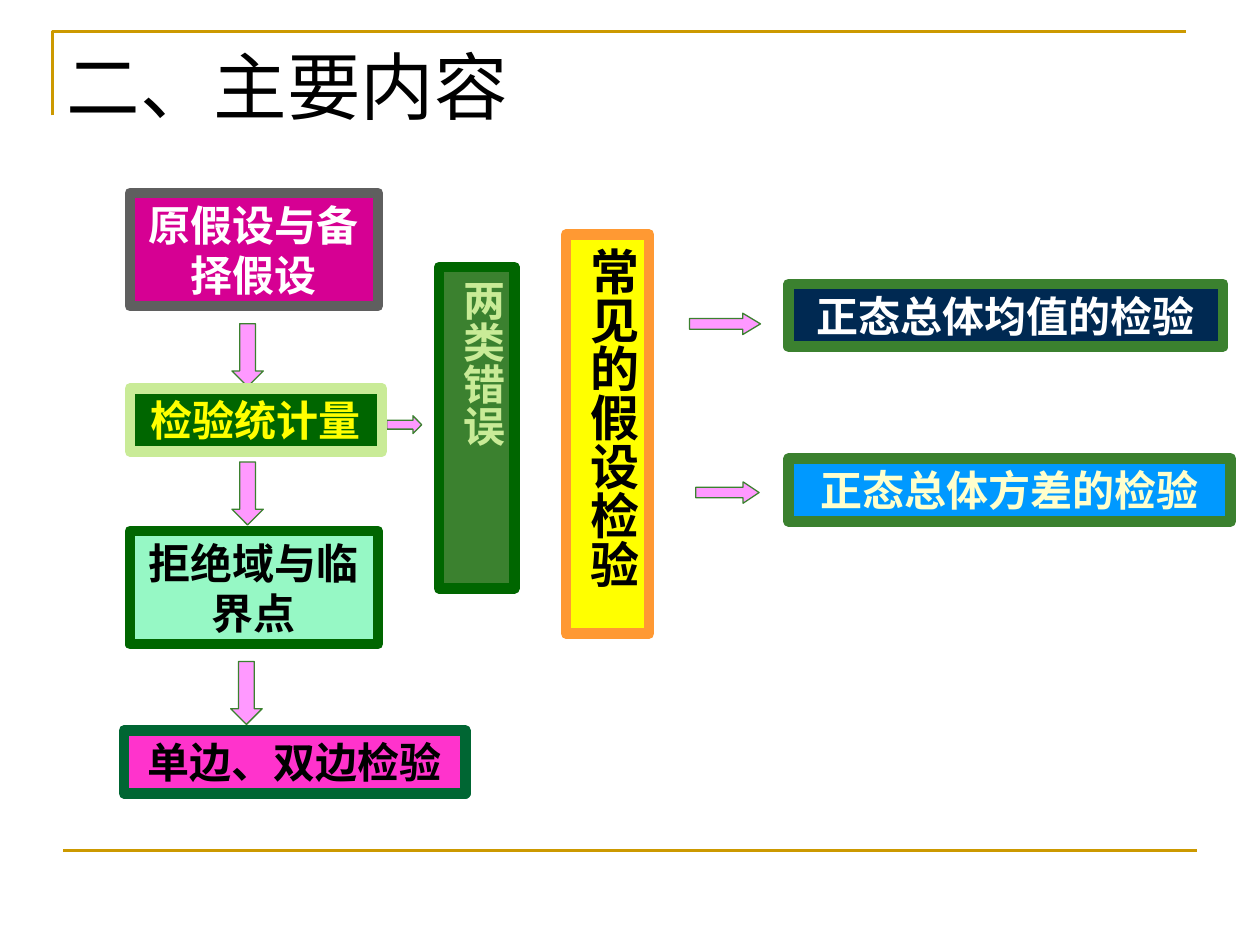
from dataclasses import dataclass

from lxml.etree import SubElement
from pptx import Presentation
from pptx.dml.color import RGBColor
from pptx.enum.shapes import MSO_CONNECTOR, MSO_SHAPE
from pptx.enum.text import MSO_ANCHOR, MSO_AUTO_SIZE, PP_ALIGN
from pptx.oxml.ns import qn
from pptx.util import Pt


@dataclass(frozen=True)
class Theme:
    font: str = "Times New Roman"
    title_size: int = 42
    box_size: int = 24
    large_size: int = 28
    border: float = 6
    rule_width: float = 1.5
    arrow_width: float = 0.75
    gold: str = "CC9900"
    black: str = "000000"
    white: str = "FFFFFF"
    yellow: str = "FFFF00"
    cream: str = "FFFFCC"
    orange: str = "FF9933"
    magenta: str = "D60093"
    hot_pink: str = "FF33CC"
    pink: str = "FF99FF"
    grey: str = "5F5F5F"
    forest: str = "006600"
    teal: str = "006633"
    green: str = "3B812F"
    lime: str = "C9EB97"
    mint: str = "96F8C5"
    navy: str = "002952"
    blue: str = "0099FF"


THEME = Theme()


def paint_line(line, color, width):
    line.color.rgb = RGBColor.from_string(color)
    line.width = Pt(width)


def paint_shape(shape, fill, line, width):
    shape.shadow.inherit = False
    shape.fill.solid()
    shape.fill.fore_color.rgb = RGBColor.from_string(fill)
    paint_line(shape.line, line, width)


def write_text(frame, text, size, color, alignment, bold):
    frame.word_wrap = True
    frame.auto_size = MSO_AUTO_SIZE.SHAPE_TO_FIT_TEXT
    paragraph = frame.paragraphs[0]
    paragraph.alignment = alignment
    run = paragraph.add_run()
    run.text = text
    run.font.name = THEME.font
    run.font.size = Pt(size)
    run.font.bold = bold
    run.font.color.rgb = RGBColor.from_string(color)


def add_corner(slide, left, top, right, bottom):
    """Draw the open angle above and left of the title."""
    builder = slide.shapes.build_freeform(Pt(left), Pt(bottom))
    builder.add_line_segments([(Pt(left), Pt(top)), (Pt(right), Pt(top))], close=False)
    corner = builder.convert_to_shape()
    corner.shadow.inherit = False
    corner.fill.background()
    paint_line(corner.line, THEME.gold, THEME.rule_width)


def add_rule(slide, left, right, y):
    rule = slide.shapes.add_connector(
        MSO_CONNECTOR.STRAIGHT, Pt(left), Pt(y), Pt(right), Pt(y))
    paint_line(rule.line, THEME.gold, THEME.rule_width)
    properties = rule._element.find(qn("p:spPr"))
    SubElement(properties, qn("a:effectLst"))


def set_title(slide, text):
    title = slide.shapes.title
    title.left, title.top, title.width, title.height = Pt(31), Pt(20), Pt(612), Pt(57.6)
    title.text_frame.vertical_anchor = MSO_ANCHOR.MIDDLE
    write_text(title.text_frame, text, THEME.title_size, THEME.black, PP_ALIGN.LEFT, False)


def add_arrow(slide, kind, left, top, width, height, head=0.5):
    arrow = slide.shapes.add_shape(kind, Pt(left), Pt(top), Pt(width), Pt(height))
    arrow.adjustments[0] = 0.5
    arrow.adjustments[1] = head
    paint_shape(arrow, THEME.pink, THEME.green, THEME.arrow_width)


def add_box(slide, text, bounds, fill, border, color, size=THEME.box_size, vertical=False):
    box = slide.shapes.add_shape(MSO_SHAPE.RECTANGLE, *map(Pt, bounds))
    paint_shape(box, fill, border, THEME.border)
    frame = box.text_frame
    frame.vertical_anchor = MSO_ANCHOR.TOP
    side, end = (3.6, 7.2) if vertical else (7.2, 3.6)
    frame.margin_left = frame.margin_right = Pt(side)
    frame.margin_top = frame.margin_bottom = Pt(end)
    write_text(frame, text, size, color, PP_ALIGN.CENTER, True)
    if vertical:
        frame._txBody.find(qn("a:bodyPr")).set("vert", "eaVert")


def add_arrows(slide):
    for left, top in ((132.5, 185), (132.5, 264), (131.8, 378)):
        add_arrow(slide, MSO_SHAPE.DOWN_ARROW, left, top, 18, 36)
    for left, top, width, height, head in (
        (221, 237.6, 20, 10.2, 0.49),
        (394, 179, 40.6, 12.2, 0.83),
        (397.6, 275.4, 36.2, 12.2, 0.75),
    ):
        add_arrow(slide, MSO_SHAPE.RIGHT_ARROW, left, top, width, height, head)


def add_boxes(slide):
    theme = THEME
    add_box(slide, "原假设与备择假设", (74.2, 110.2, 141.8, 64.8),
            theme.magenta, theme.grey, theme.white)
    add_box(slide, "检验统计量", (74.2, 222, 144, 36),
            theme.forest, theme.lime, theme.yellow)
    add_box(slide, "拒绝域与临界点", (74.2, 303.4, 141.8, 64.8),
            theme.mint, theme.forest, theme.black)
    add_box(slide, "单边、双边检验", (70.8, 417.4, 195.1, 36),
            theme.hot_pink, theme.teal, theme.black)
    add_box(slide, "两类错误", (250.8, 152.6, 43.2, 183.6),
            theme.green, theme.forest, theme.lime, vertical=True)
    add_box(slide, "常见的假设检验", (323.5, 134, 47.5, 228.2),
            theme.yellow, theme.orange, theme.black, theme.large_size, vertical=True)
    add_box(slide, "正态总体均值的检验", (450.6, 162.2, 248.4, 36),
            theme.navy, theme.green, theme.white)
    add_box(slide, "正态总体方差的检验", (450.6, 262, 252.7, 36),
            theme.blue, theme.green, theme.cream)


def main():
    presentation = Presentation()
    presentation.slide_width, presentation.slide_height = Pt(720), Pt(540)
    slide = presentation.slides.add_slide(presentation.slide_layouts[5])
    add_corner(slide, 30, 18, 678, 66)
    add_rule(slide, 36, 684, 486)
    set_title(slide, "二、主要内容")
    add_arrows(slide)
    add_boxes(slide)
    presentation.save("out.pptx")


if __name__ == "__main__":
    main()
